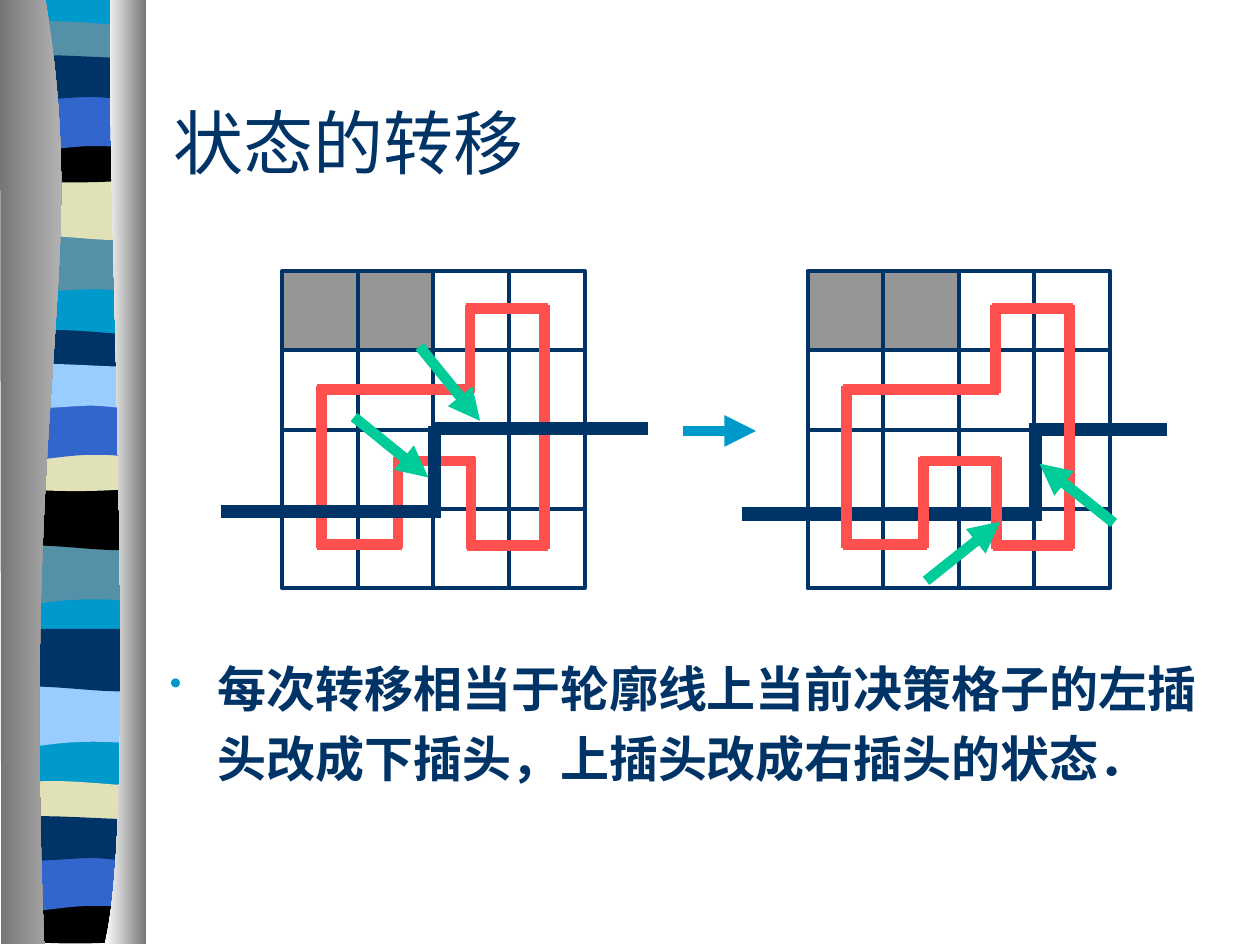
from dataclasses import dataclass
from lxml.etree import SubElement
from pptx import Presentation
from pptx.dml.color import RGBColor
from pptx.enum.shapes import MSO_CONNECTOR, MSO_SHAPE
from pptx.enum.text import MSO_ANCHOR, PP_ALIGN
from pptx.oxml.ns import qn
from pptx.util import Inches, Pt


@dataclass(frozen=True)
class Theme:
    navy: str = "003366"
    cyan: str = "0099CC"
    teal: str = "5490A8"
    blue: str = "3366CC"
    sky: str = "99CCFF"
    sand: str = "E1E1B7"
    black: str = "000000"
    white: str = "FFFFFF"
    shade: str = "767676"
    light: str = "D0D0D0"
    blocked: str = "969696"
    loop: str = "FF5050"
    pointer: str = "00CC99"
    title_size: int = 40
    body_size: int = 28
    title_font: str = "Times New Roman"
    body_font: str = "Arial"


T = Theme()


def add_outline(shapes, segments, top, colors):
    """Closed outline; a segment of one point is a line, of three a cubic curve."""
    (start,), *rest = [[(Inches(x), Inches(top + y)) for x, y in seg] for seg in segments]
    builder = shapes.build_freeform(*start)
    builder.add_line_segments([pt for seg in rest for pt in seg])
    sp = builder.convert_to_shape()
    sp.shadow.inherit = False
    sp.line.fill.background()
    steps = iter(list(sp._element.iter(qn("a:lnTo"))))
    for seg in rest:
        first, *others = [next(steps) for _ in seg]
        if others:
            first.tag = qn("a:cubicBezTo")
        for step in others:
            first.append(step[0])
            step.getparent().remove(step)
    if len(colors) == 1:
        sp.fill.solid()
        sp.fill.fore_color.rgb = RGBColor.from_string(colors[0])
    else:
        sp.fill.gradient()
        sp.fill.gradient_angle = 0
        for stop, color in zip(sp.fill.gradient_stops, colors):
            stop.color.rgb = RGBColor.from_string(color)


def add_line(shapes, x1, y1, x2, y2, color, width, arrow=False):
    line = shapes.add_connector(MSO_CONNECTOR.STRAIGHT, Inches(x1), Inches(y1),
                                Inches(x2), Inches(y2))
    line.line.color.rgb = RGBColor.from_string(color)
    line.line.width = Pt(width)
    if arrow:
        SubElement(line.line._get_or_add_ln(), qn("a:tailEnd"), type="triangle")
    SubElement(line._element.spPr, qn("a:effectLst"))


prs = Presentation()
prs.slide_width, prs.slide_height = Inches(10), Inches(7.5)
s = prs.slides.add_slide(prs.slide_layouts[5])

# Ribbon: six band profiles, used in three stacks from back to front
L, R = 0.05, 1.14
deep = [[(R, 0)], [(R, 0.47)], [(0.39, 0.39), (0.23, 0.55), (L, 0.47)], [(L, 0)]]
slab = [[(R, 0)], [(R, 0.47)], [(0.96, 0.55), (0.39, 0.42), (L, 0.47)], [(L, 0)]]
thin = [[(R, 0.04)], [(R, 0.29)], [(0.96, 0.33), (0.23, 0.33), (L, 0.29)], [(L, 0.04)],
        [(0.12, 0), (0.29, 0), (0.47, 0)], [(0.65, 0), (1, 0.04), (R, 0.04)]]
cap = [[(R, 0)], [(R, 0.33)], [(0.96, 0.38), (0.24, 0.38), (L, 0.33)], [(L, 0)],
       [(0.72, 0.05), (0.92, 0), (R, 0)]]
crest = [[(R, 0)], [(R, 0.47)], [(0.97, 0.41), (0.9, 0.41), (0.72, 0.41)],
         [(0.54, 0.41), (0.22, 0.47), (L, 0.47)], [(L, 0)]]
wave = [[(R, 0.05)], [(R, 0.36)], [(1.07, 0.41), (0.9, 0.36), (0.72, 0.36)],
        [(0.54, 0.36), (0.17, 0.41), (L, 0.36)], [(L, 0.05)],
        [(0.21, 0), (0.79, 0.05), (0.97, 0.05)], [(1.15, 0.05), (1.11, 0.05), (R, 0.05)]]
profiles = [deep, slab, thin, cap, crest, wave]
stacks = [
    ([1.85, 1.41, 0.17, 1.08, 0.75, 0.41],
     [T.teal, T.sand, T.teal, T.black, T.blue, T.navy]),
    ([4.31, 3.87, 2.62, 3.53, 3.2, 2.86],
     [T.teal, T.black, T.navy, T.sand, T.blue, T.sky]),
    ([5.44, 4.99, 6.2, 7.12, 6.78, 6.45],
     [T.sky, T.navy, T.sand, T.black, T.blue, T.navy]),
]
ribbon = s.shapes.add_group_shape().shapes
add_outline(ribbon, [[(R, 0)], [(R, 7.47)], [(L, 7.47)], [(L, 0)]], 0, [T.cyan])
for tops, colors in stacks:
    for profile, top, color in zip(profiles, tops, colors):
        add_outline(ribbon, profile, top, [color])

# Shaded curtains on both sides of the ribbon
add_outline(ribbon, [[(0.36, 0)], [(0.72, 2.17), (0.17, 2.96), (0.35, 7.49)],
                     [(0.01, 7.49)], [(0, 0)]], 0, [T.shade, T.light])
add_outline(ribbon, [[(0.88, 0)], [(0.83, 1.25), (1.11, 6.47), (0.83, 7.49)],
                     [(1.16, 7.49)], [(1.16, 0)]], 0, [T.white, T.shade])

# Title
title = s.shapes.title
title.left, title.top, title.width, title.height = map(Inches, (1.28, 0.5, 3.22, 1.25))

# Boards: 4 x 4 grid, closed loop and stepped contour line
cell_w, cell_h, board_top = 0.6, 0.63, 2.15
cells = [(row, col) for row in range(4) for col in range(4)]
blocked = [(0, 0), (0, 1)]
corners = [(0.31, 3.09), (1.49, 3.09), (1.49, 2.45), (2.08, 2.45), (2.08, 4.33),
           (1.5, 4.33), (1.5, 3.66), (0.92, 3.66), (0.92, 4.32), (0.31, 4.32)]
overhang = 0.03
boards = [
    (2.24, ["grid", "contour"],
     [(1.75, 4.06, 3.47, 4.06), (3.42, 3.4, 5.14, 3.4), (3.45, 3.38, 3.45, 4.11)]),
    (6.41, ["contour", "grid"],
     [(5.89, 4.08, 8.27, 4.08), (8.17, 3.41, 9.26, 3.41), (8.22, 3.38, 8.22, 4.11)]),
]
for board_left, layers, contour in boards:
    board = s.shapes.add_group_shape().shapes
    for layer in layers:
        if layer == "contour":
            for ends in contour:
                add_line(board, *ends, T.navy, 7.5)
            continue
        for row, col in [c for c in cells if c not in blocked] + blocked:
            sp = board.add_shape(MSO_SHAPE.RECTANGLE, Inches(board_left + col * cell_w),
                                 Inches(board_top + row * cell_h),
                                 Inches(cell_w), Inches(cell_h))
            sp.shadow.inherit = False
            sp.line.color.rgb = RGBColor.from_string(T.navy)
            sp.line.width = Pt(2.25)
            if (row, col) in blocked:
                sp.fill.solid()
                sp.fill.fore_color.rgb = RGBColor.from_string(T.blocked)
            else:
                sp.fill.background()
        for (x1, y1), (x2, y2) in zip(corners, corners[1:] + corners[:1]):
            dx = overhang * ((x2 > x1) - (x2 < x1))
            dy = overhang * ((y2 > y1) - (y2 < y1))
            add_line(board, board_left + x1 - dx, y1 - dy,
                     board_left + x2 + dx, y2 + dy, T.loop, 6)

# Transition arrow and plug pointers
add_line(s.shapes, 5.42, 3.42, 6, 3.42, T.cyan, 6, arrow=True)
for ends in [(2.81, 3.31, 3.4, 3.79), (8.84, 4.15, 8.25, 3.68),
             (3.33, 2.75, 3.81, 3.34), (7.35, 4.61, 7.94, 4.14)]:
    add_line(s.shapes, *ends, T.pointer, 6, arrow=True)

# Title and body text
body = s.shapes.add_textbox(Inches(1.25), Inches(5.08), Inches(8.5), Inches(1.25))
texts = [
    (title, MSO_ANCHOR.MIDDLE, "状态的转移", T.title_font, T.title_size, False),
    (body, MSO_ANCHOR.TOP,
     "每次转移相当于轮廓线上当前决策格子的左插头改成下插头，上插头改成右插头的状态．",
     T.body_font, T.body_size, True),
]
for sp, anchor, text, font, size, bold in texts:
    tf = sp.text_frame
    tf.word_wrap = True
    tf.vertical_anchor = anchor
    p = tf.paragraphs[0]
    p.alignment = PP_ALIGN.LEFT
    r = p.add_run()
    r.text = text
    r.font.name, r.font.size, r.font.bold = font, Pt(size), bold
    r.font.color.rgb = RGBColor.from_string(T.navy)

# Bullet on the body paragraph
p = body.text_frame.paragraphs[0]
p.line_spacing = 1.2
p.space_before = Pt(7)
pPr = p._p.get_or_add_pPr()
pPr.set("marL", str(Inches(0.38)))
pPr.set("indent", str(Inches(-0.38)))
SubElement(SubElement(pPr, qn("a:buClr")), qn("a:srgbClr"), val=T.cyan)
SubElement(pPr, qn("a:buSzPct"), val="70000")
SubElement(pPr, qn("a:buChar"), char="•")

prs.save("out.pptx")
